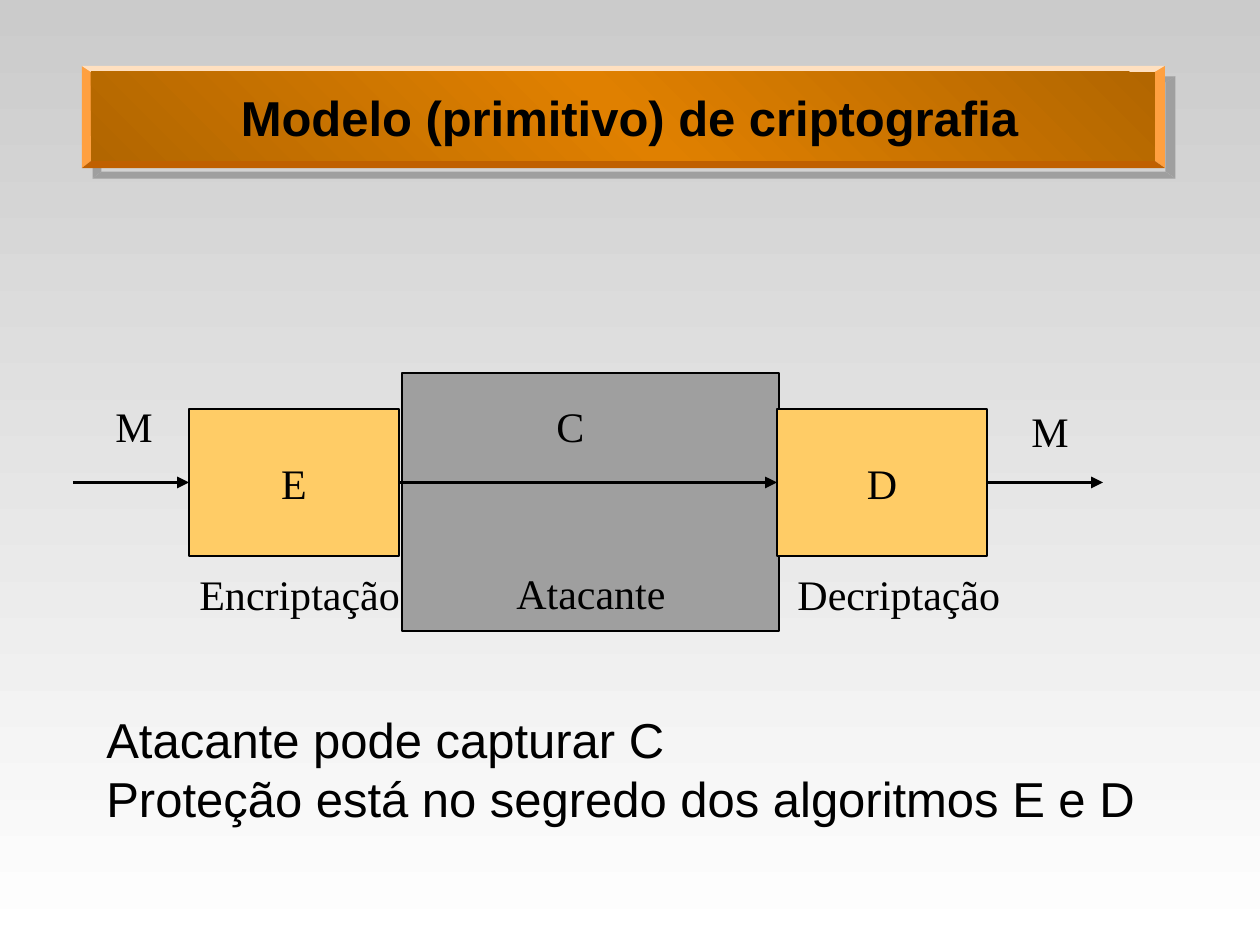
from lxml import etree
from pptx import Presentation
from pptx import util as u
from pptx.dml.color import RGBColor
from pptx.enum import shapes, text
from pptx.oxml import parse_xml
from pptx.oxml.ns import nsdecls, qn

BLACK = RGBColor(0x00, 0x00, 0x00)
GRAY = RGBColor(0x9F, 0x9F, 0x9F)
SILVER = RGBColor(0xCB, 0xCB, 0xCB)
WHITE = RGBColor(0xFF, 0xFF, 0xFF)
YELLOW = RGBColor(0xFF, 0xCC, 0x66)
BROWN = RGBColor(0xB2, 0x66, 0x00)
ORANGE = RGBColor(0xE0, 0x80, 0x00)
BEVEL_SIDE = RGBColor(0xFF, 0xA0, 0x40)
BEVEL_TOP = RGBColor(0xFF, 0xE0, 0xC0)
BEVEL_BOTTOM = RGBColor(0xC0, 0x60, 0x00)

SCALE = u.Inches(1) / 126
SANS, SERIF = "Arial", "Times New Roman"

TITLE = "Modelo (primitivo) de criptografia"
TITLE_BOX = (136, 84, 987, 73)
FRAME_OUTER = (82, 66, 1165, 168)
FRAME_INNER = (91, 72, 1155, 161)
ATTACKER = (402, 373, 377, 258)
BLOCK_TOP, BLOCK_WIDTH, BLOCK_HEIGHT = 409, 210, 147
BLOCKS = [("E", 189), ("D", 777)]
ARROW_LENGTH = 116
LABELS = [
    ("M", 103, 394, 62, 63),
    ("C", 544, 394, 53, 63),
    ("M", 1019, 399, 62, 63),
    ("Encriptação", 187, 562, 228, 63),
    ("Decriptação", 785, 562, 230, 63),
]
ATTACKER_LABEL = ("Atacante", 504, 567, 174, 58)
NOTES = ["Atacante pode capturar C", "Proteção está no segredo dos algoritmos E e D"]
NOTES_BOX = (94, 703, 1103, 131)


def px(*values):
    return [round(value * SCALE) for value in values]


def paint_gradient(fill, element, stops, angle):
    fill.gradient()
    fill.gradient_angle = 360 - angle
    stop_list = next(element.iter(qn("a:gsLst")))
    for stop in list(stop_list):
        stop_list.remove(stop)
    for position, color in stops:
        stop = etree.SubElement(stop_list, qn("a:gs"), pos=str(position * 1000))
        etree.SubElement(stop, qn("a:srgbClr"), val=str(color))


def add_bevel(slide, points, color):
    builder = slide.shapes.build_freeform(*points[0], scale=SCALE)
    builder.add_line_segments(points[1:], close=True)
    shape = builder.convert_to_shape()
    shape.fill.solid()
    shape.fill.fore_color.rgb = color
    shape.line.fill.background()
    shape._element.spPr.append(parse_xml(
        f'<a:effectLst {nsdecls("a")}><a:outerShdw dist="107950" dir="2700000" '
        f'algn="ctr" rotWithShape="0"><a:srgbClr val="{GRAY}"/></a:outerShdw></a:effectLst>'))


def add_banner(slide):
    corners = []
    for left, top, right, bottom in (FRAME_OUTER, FRAME_INNER):
        corners.append([(left, top), (right, top), (right, bottom), (left, bottom)])
    outer, inner = corners
    sides = [(3, BEVEL_SIDE), (0, BEVEL_TOP), (1, BEVEL_SIDE), (2, BEVEL_BOTTOM)]
    for start, color in sides:
        end = (start + 1) % 4
        add_bevel(slide, [outer[start], inner[start], inner[end], outer[end]], color)
    left, top, right, bottom = FRAME_INNER
    panel = add_rectangle(slide, (left, top, right - left, bottom - top))
    panel.line.fill.background()
    paint_gradient(panel.fill, panel._element, [(0, BROWN), (50, ORANGE), (100, BROWN)], 135)


def add_rectangle(slide, box, color=None):
    shape = slide.shapes.add_shape(shapes.MSO_SHAPE.RECTANGLE, *px(*box))
    shape.shadow.inherit = False
    if color is not None:
        shape.fill.solid()
        shape.fill.fore_color.rgb = color
        shape.line.color.rgb = BLACK
        shape.line.width = u.Pt(1)
    return shape


def write(shape, lines, font, size, bold=False, align=None, spacing=None, wrap=False):
    frame = shape.text_frame
    frame.word_wrap = wrap
    frame.text = "\n".join(lines)
    for paragraph in frame.paragraphs:
        paragraph.alignment = align
        paragraph.line_spacing = spacing
        for run in paragraph.runs:
            run.font.name = font
            run.font.size = u.Pt(size)
            run.font.bold = bold
            run.font.color.rgb = BLACK


def add_text(slide, box, lines, font, size, **style):
    shape = slide.shapes.add_textbox(*px(*box))
    write(shape, lines, font, size, **style)
    shape.text_frame.auto_size = text.MSO_AUTO_SIZE.SHAPE_TO_FIT_TEXT
    return shape


def add_arrow(slide, start, end, source=None, target=None):
    middle = BLOCK_TOP + BLOCK_HEIGHT / 2
    arrow = slide.shapes.add_connector(
        shapes.MSO_CONNECTOR.STRAIGHT, *px(start, middle, end, middle))
    if source is not None:
        arrow.begin_connect(source, 3)
    if target is not None:
        arrow.end_connect(target, 1)
    arrow.line.color.rgb = BLACK
    arrow.line.width = u.Pt(2.25)
    etree.SubElement(arrow.line._get_or_add_ln(), qn("a:tailEnd"), type="triangle")
    etree.SubElement(arrow._element.spPr, qn("a:effectLst"))


def main():
    presentation = Presentation()
    presentation.slide_width, presentation.slide_height = u.Inches(10), u.Inches(7.5)
    slide = presentation.slides.add_slide(presentation.slide_layouts[6])
    paint_gradient(slide.background.fill, slide._element, [(0, SILVER), (100, WHITE)], 90)

    add_banner(slide)
    add_rectangle(slide, ATTACKER, GRAY)
    title = add_text(slide, TITLE_BOX, [TITLE], SANS, 28, bold=True,
                     align=text.PP_ALIGN.CENTER, spacing=0.9, wrap=True)
    title.text_frame.auto_size = text.MSO_AUTO_SIZE.NONE
    title.text_frame.vertical_anchor = text.MSO_ANCHOR.MIDDLE

    blocks = []
    for name, left in BLOCKS:
        block = add_rectangle(slide, (left, BLOCK_TOP, BLOCK_WIDTH, BLOCK_HEIGHT), YELLOW)
        write(block, [name], SERIF, 24, align=text.PP_ALIGN.CENTER)
        block.text_frame.vertical_anchor = text.MSO_ANCHOR.MIDDLE
        blocks.append(block)
    encryptor, decryptor = blocks
    encryptor_left, decryptor_left = [left for _, left in BLOCKS]
    decryptor_right = decryptor_left + BLOCK_WIDTH
    add_arrow(slide, encryptor_left - ARROW_LENGTH, encryptor_left, target=encryptor)
    add_arrow(slide, encryptor_left + BLOCK_WIDTH, decryptor_left, encryptor, decryptor)
    add_arrow(slide, decryptor_right, decryptor_right + ARROW_LENGTH, source=decryptor)

    for label, *box in LABELS:
        add_text(slide, box, [label], SERIF, 24)
    add_text(slide, NOTES_BOX, NOTES, SANS, 28, wrap=True)
    label, *box = ATTACKER_LABEL
    add_text(slide, box, [label], SERIF, 24, spacing=0.9)

    presentation.save("out.pptx")


if __name__ == "__main__":
    main()
